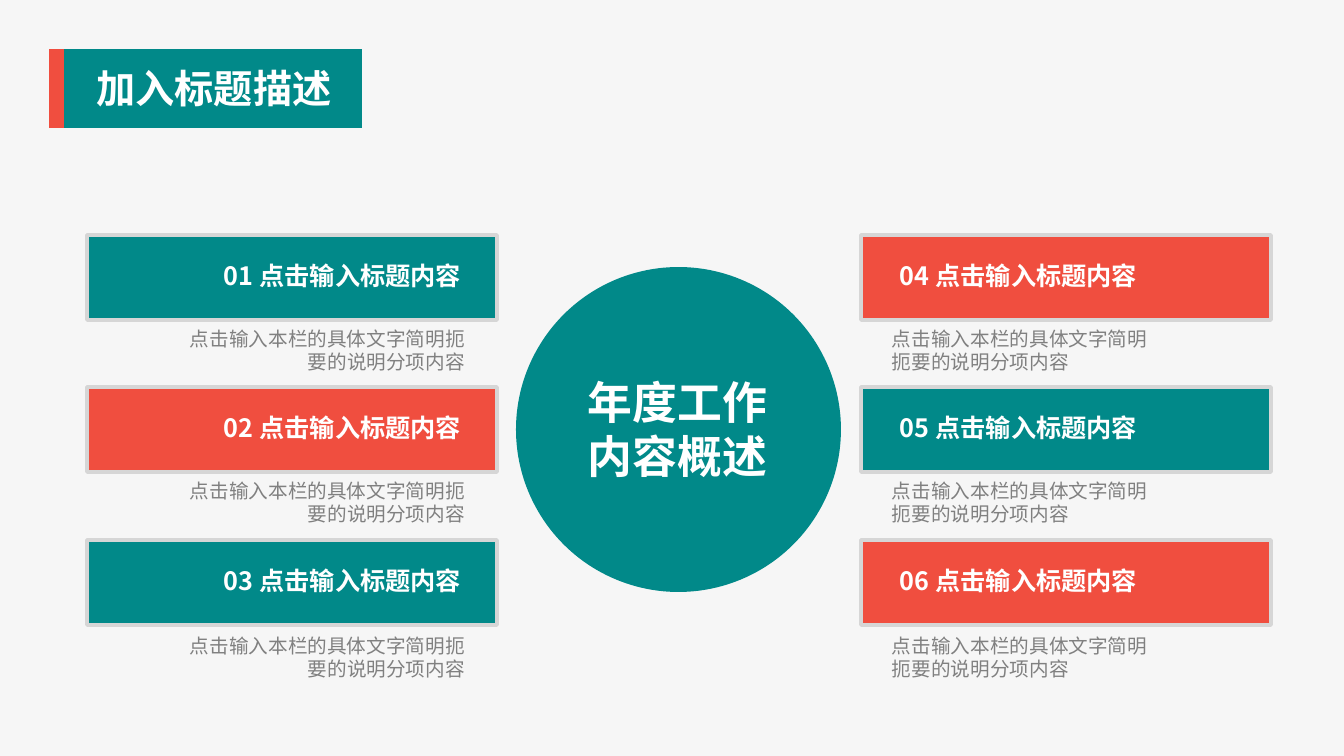
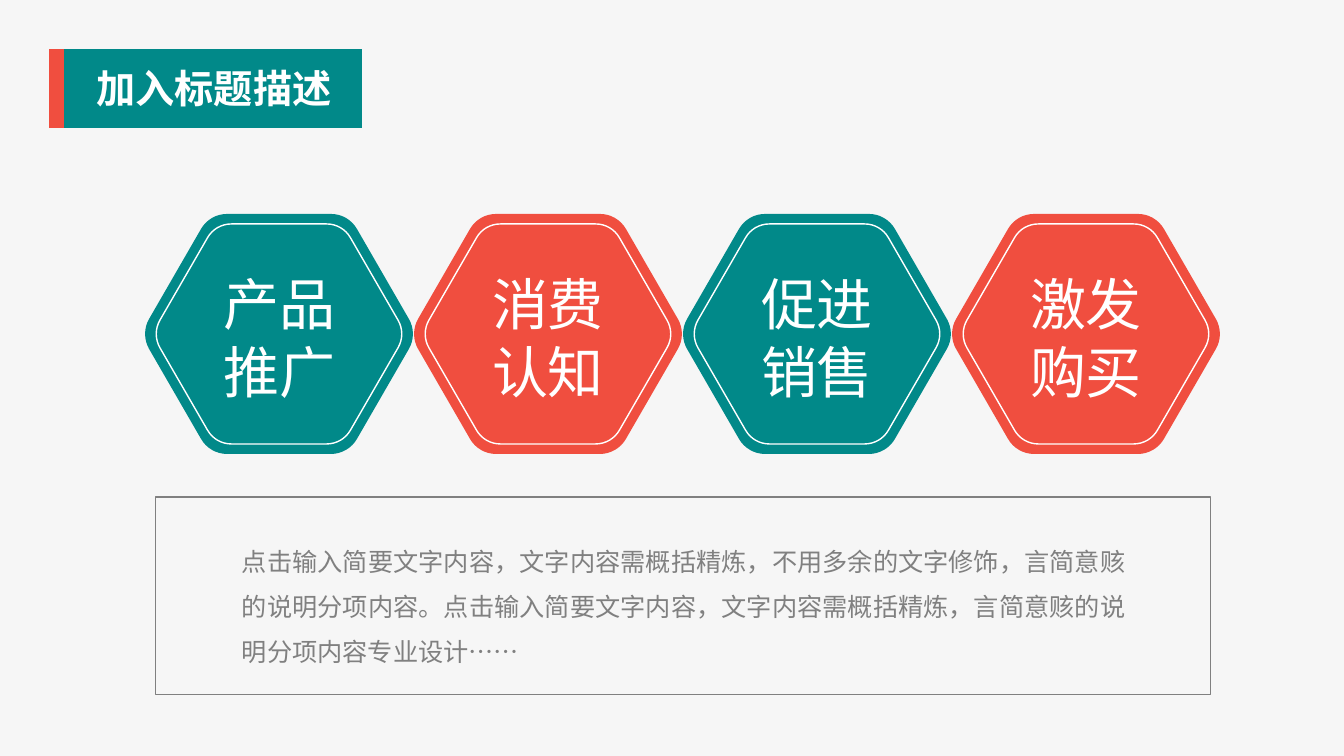
"""Build two summary slides that share a title tag and a teal and red palette."""
from math import cos, pi, sin, tan

from lxml.etree import SubElement
from pptx import Presentation
from pptx.dml.color import RGBColor
from pptx.enum.shapes import MSO_SHAPE as Preset
from pptx.enum.text import MSO_ANCHOR as Anchor, PP_ALIGN as Align
from pptx.oxml.ns import qn
from pptx.util import Emu, Pt

TEAL = RGBColor(0x01, 0x89, 0x89)
RED = RGBColor(0xF0, 0x4E, 0x3F)
WHITE = RGBColor(0xFF, 0xFF, 0xFF)
GREY = RGBColor(0x80, 0x80, 0x80)
EDGE = RGBColor(0xD6, 0xD6, 0xD6)
PAPER = RGBColor(0xF6, 0xF6, 0xF6)
FONT = "Noto Sans CJK SC"
SCALE = 914400 / 100.8

TITLE = "加入标题描述"
HEADING = "点击输入标题内容"
NOTE = "点击输入本栏的具体文字简明扼要的说明分项内容"
CARD_TOPS = (235, 387, 540)
NOTE_GAPS = (105, 105, 107)
STAGES = (("产品推广", 159), ("消费认知", 156), ("促进销售", 138), ("激发购买", 142))
SUMMARY = (
    "点击输入简要文字内容，文字内容需概括精炼，不用多余的文字修饰，"
    "言简意赅的说明分项内容。点击输入简要文字内容，文字内容需概括精炼，"
    "言简意赅的说明分项内容专业设计……"
)


def px(length):
    """Turn pixels into EMU."""
    return Emu(round(length * SCALE))


def paint(shape, fill=None, line=None, weight=1):
    """Set the fill and outline of a shape and drop its shadow."""
    shape.shadow.inherit = False
    if fill is None:
        shape.fill.background()
    else:
        shape.fill.solid()
        shape.fill.fore_color.rgb = fill
    if line is None:
        shape.line.fill.background()
    else:
        shape.line.color.rgb = line
        shape.line.width = Pt(weight)


def add_block(parent, preset, box, **style):
    """Add a painted preset shape in a box of left, top, width, height."""
    shape = parent.shapes.add_shape(preset, *map(px, box))
    paint(shape, **style)
    return shape


def write(shape, text, size, color=WHITE, bold=False, align=Align.CENTER,
          anchor=Anchor.TOP, insets=(0, 5), spacing=None):
    """Write styled text into a shape, with side and end insets."""
    frame = shape.text_frame
    frame.word_wrap = True
    frame.vertical_anchor = anchor
    frame.margin_left = frame.margin_right = px(insets[0])
    frame.margin_top = frame.margin_bottom = px(insets[1])
    frame.text = text
    for para in frame.paragraphs:
        para.alignment = align
        if spacing:
            para.line_spacing = spacing
        for span in para.runs:
            font = span.font
            font.name, font.size, font.bold = FONT, Pt(size), bold
            font.color.rgb = color
            east = span._r.get_or_add_rPr().makeelement(qn("a:ea"), {"typeface": FONT})
            span._r.rPr.find(qn("a:latin")).addnext(east)


def add_text(parent, box, text, size, **style):
    """Add a text box with styled text."""
    write(parent.shapes.add_textbox(*map(px, box)), text, size, **style)


def add_page(deck):
    """Add a blank page with the shared background and title tag."""
    page = deck.slides.add_slide(deck.slide_layouts[6])
    page.background.fill.solid()
    page.background.fill.fore_color.rgb = PAPER
    tag = page.shapes.add_group_shape()
    for left, fill in ((49, RED), (64, TEAL)):
        add_block(tag, Preset.RECTANGLE, (left, 49, 298, 79), fill=fill)
    add_text(tag, (48, 60, 332, 55), TITLE, 28, bold=True, insets=(7, 4))
    return page


def add_card(page, box, number, fill, align, note_gap):
    """Add a numbered card with its note below, both set to one side."""
    left, top, width, height = box
    card = add_block(page, Preset.ROUNDED_RECTANGLE, box, fill=fill, line=EDGE, weight=2.5)
    card.adjustments[0] = 0
    if align == Align.RIGHT:
        heading_left, note_left, note_width = left + 59, left + 93, 285
    else:
        heading_left, note_left, note_width = left + 39, left + 31, 270
    add_text(page, (heading_left, top + 20, 315, 46), f"{number:02} {HEADING}", 18,
             bold=True, align=align)
    add_text(page, (note_left, top + note_gap, note_width, 20), NOTE, 14,
             color=GREY, align=align, anchor=Anchor.MIDDLE)


def add_column(page, left, first, colors, align):
    """Stack three cards with their notes."""
    for row, (top, gap, fill) in enumerate(zip(CARD_TOPS, NOTE_GAPS, colors)):
        add_card(page, (left, top, 410, 85), first + row, fill, align, gap)


def curve_path(path):
    """Turn each corner's six control and end points into two cubic curves."""
    lines = path.findall(qn("a:lnTo"))
    for start in range(0, len(lines), 7):
        for first in (start, start + 3):
            group = lines[first:first + 3]
            curve = path.makeelement(qn("a:cubicBezTo"), {})
            group[0].addprevious(curve)
            for line in group:
                point = line.find(qn("a:pt"))
                SubElement(curve, qn("a:pt"), x=point.get("x"), y=point.get("y"))
                path.remove(line)


def add_hexagon(parent, center_x, center_y, apothem, **style):
    """Add a flat-topped hexagon whose corners are rounded by a quarter apothem."""
    radius = apothem / 4
    reach = (apothem - radius) / cos(pi / 6)
    handle = 4 / 3 * tan(pi / 24)
    points = []
    for corner in range(0, 360, 60):
        middle = corner * pi / 180
        for turn, pull in ((-30, 0), (-30, 1), (0, -1), (0, 0), (0, 1), (30, -1), (30, 0)):
            angle, slide = middle + turn * pi / 180, pull * handle
            across = reach * cos(middle) + radius * (cos(angle) - slide * sin(angle))
            down = reach * sin(middle) + radius * (sin(angle) + slide * cos(angle))
            points.append((px(center_x + across), px(center_y + down)))
    builder = parent.shapes.build_freeform(*points[0])
    builder.add_line_segments(points[1:], close=True)
    shape = builder.convert_to_shape()
    curve_path(shape._element.find(".//" + qn("a:path")))
    paint(shape, **style)


def add_stage(page, center_x, center_y, stage, width, fill):
    """Add a filled hexagon grouped with its label."""
    group = page.shapes.add_group_shape()
    add_hexagon(group, center_x, center_y, 120, fill=fill)
    label_box = (center_x - width / 2, center_y - 65, width, 136)
    label = add_block(group, Preset.RECTANGLE, label_box, fill=fill)
    write(label, stage, 40, anchor=Anchor.MIDDLE, insets=(0, 0))


def build_overview(deck):
    """Build the page with six cards around a circle."""
    page = add_page(deck)
    add_column(page, 87, 1, (TEAL, RED, TEAL), Align.RIGHT)
    add_column(page, 861, 4, (RED, TEAL, RED), Align.LEFT)
    add_block(page, Preset.OVAL, (516, 267, 325, 325), fill=TEAL)
    add_text(page, (556, 370, 243, 119), "年度工作\n内容概述", 32, bold=True,
             insets=(10, 5))


def build_stages(deck):
    """Build the page with four hexagons above a framed summary."""
    page = add_page(deck)
    add_text(page, (242, 531, 884, 137), SUMMARY, 18, color=GREY,
             align=Align.JUSTIFY, insets=(0, 0), spacing=1.5)
    add_block(page, Preset.RECTANGLE, (156, 497, 1055, 198), line=GREY, weight=0.75)
    centers = [279 + 269 * index for index in range(len(STAGES))]
    for index, (stage, width) in enumerate(STAGES):
        add_stage(page, centers[index], 334, stage, width, (TEAL, RED)[index % 2])
    for center in centers:
        add_hexagon(page, center, 334, 110, line=WHITE)


def main():
    """Build and save the deck."""
    deck = Presentation()
    deck.slide_width, deck.slide_height = px(1344), px(756)
    build_overview(deck)
    build_stages(deck)
    deck.save("out.pptx")


if __name__ == "__main__":
    main()
